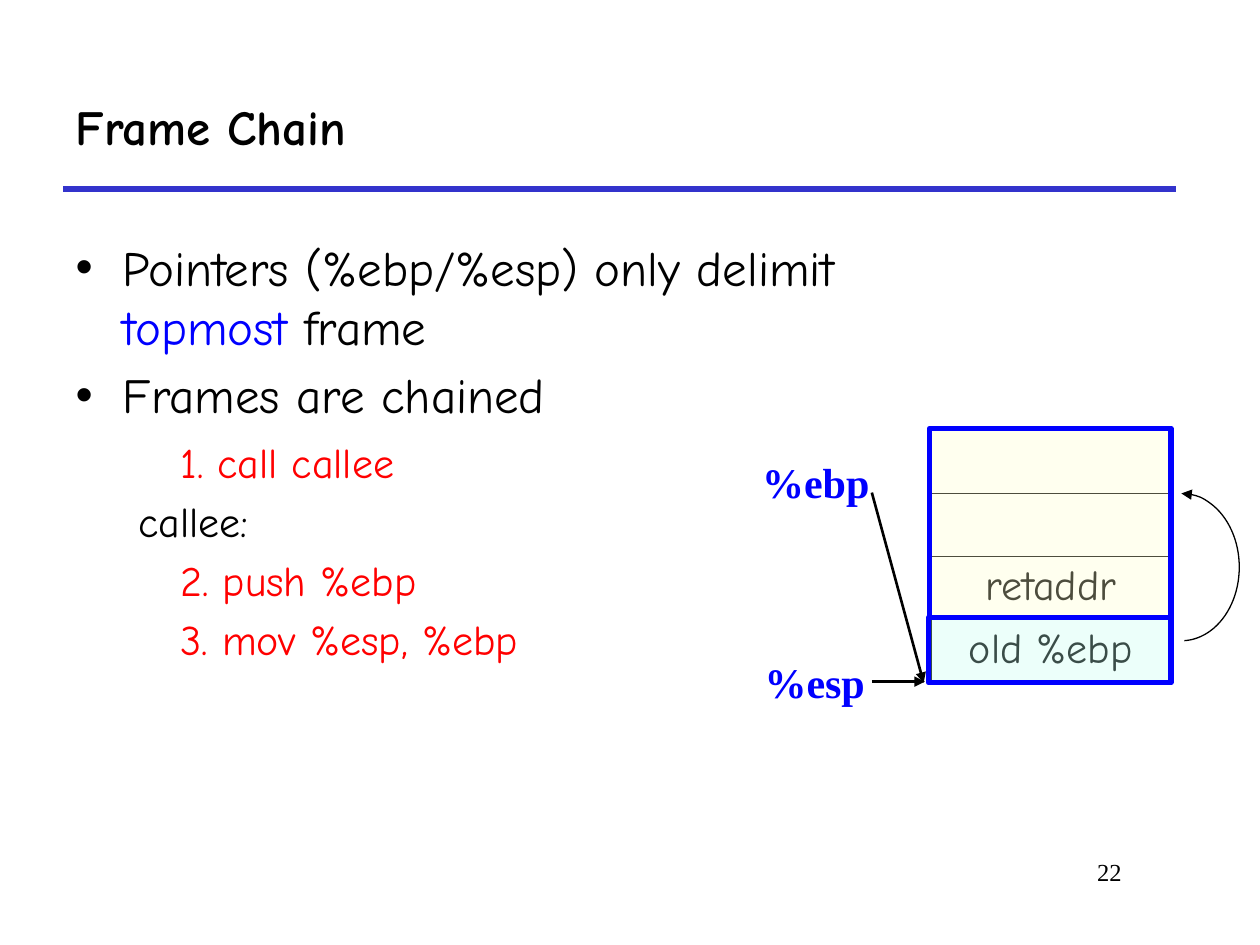
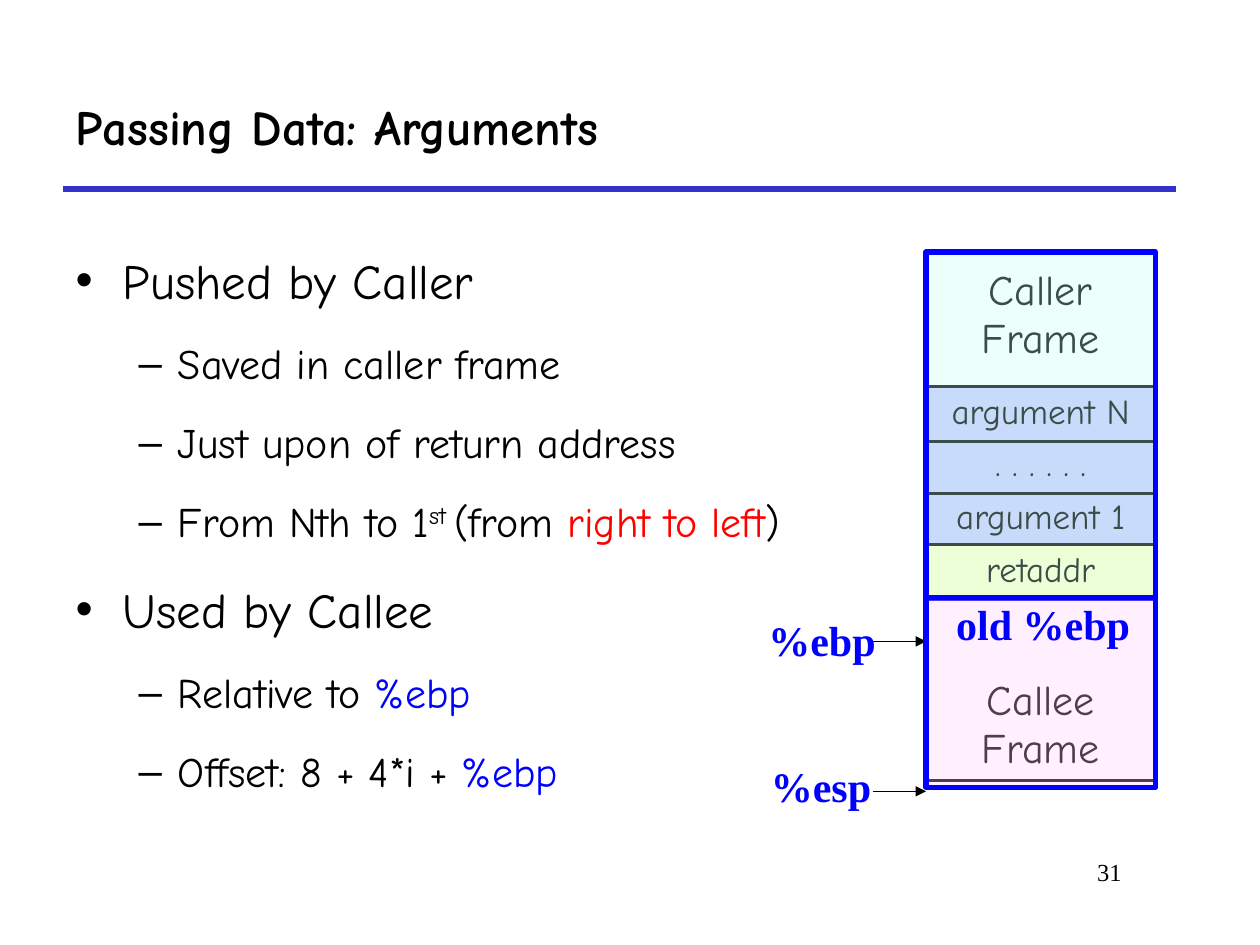
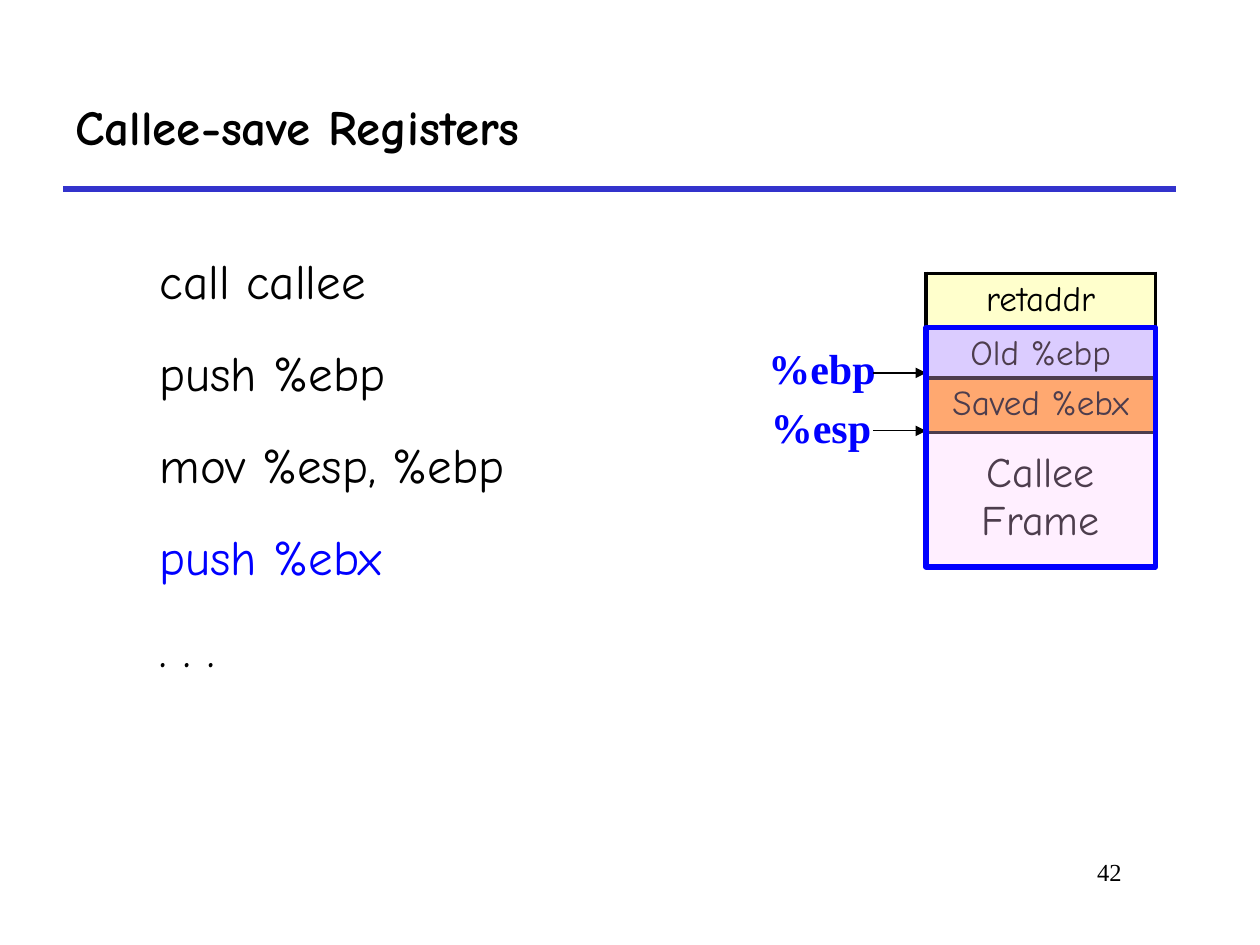
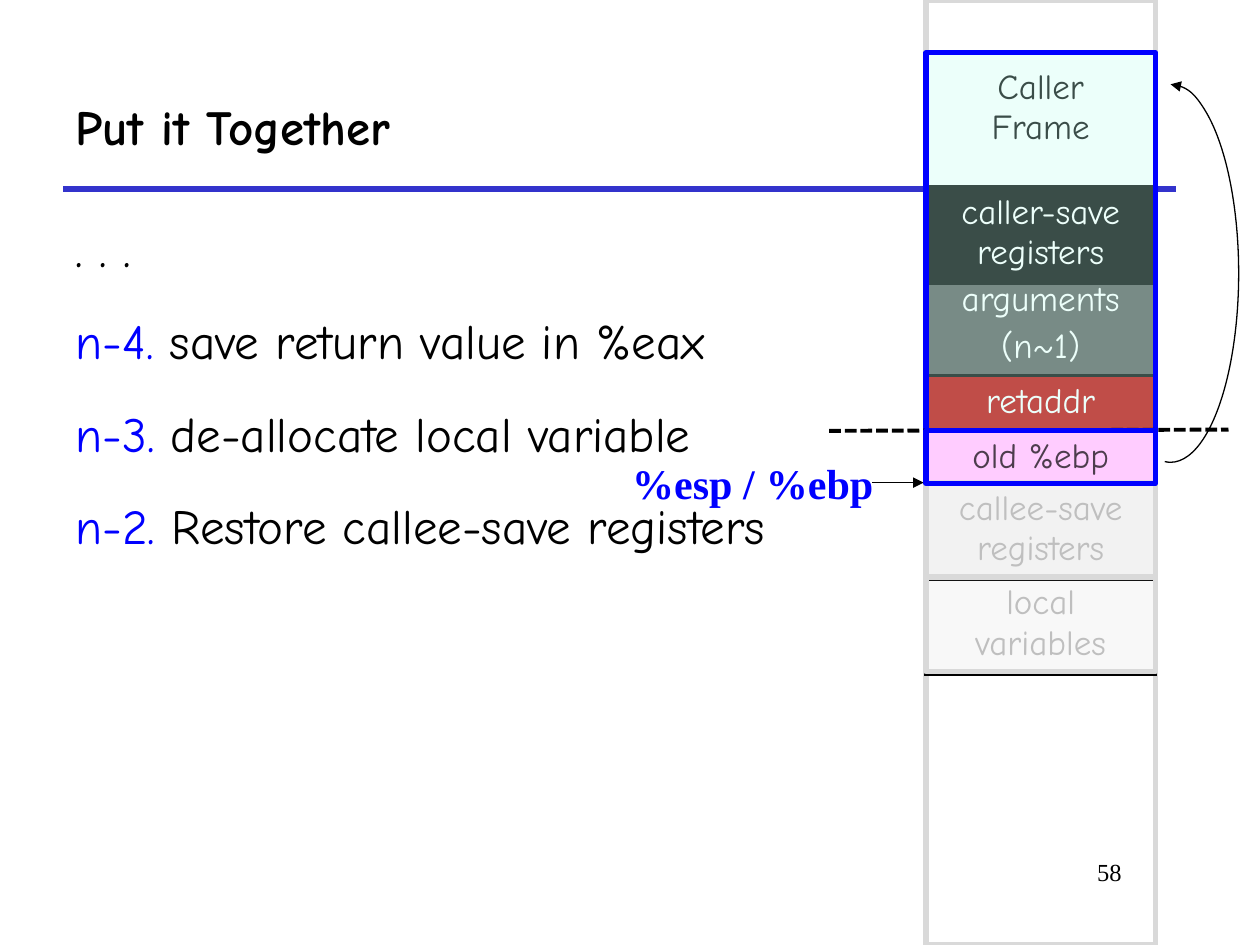
"""Build four slides on procedure call frames and the registers that delimit them."""
from lxml import etree
from pptx import Presentation
from pptx import util as u
from pptx.dml.color import RGBColor
from pptx.enum import dml, shapes, text
from pptx.oxml.ns import qn

BLACK = RGBColor(0x00, 0x00, 0x00)
WHITE = RGBColor(0xFF, 0xFF, 0xFF)
BLUE = RGBColor(0x00, 0x00, 0xFF)
RED = RGBColor(0xFF, 0x00, 0x00)
RULE = RGBColor(0x33, 0x33, 0xCC)
MINT = RGBColor(0xC2, 0xFF, 0xF0)
CREAM = RGBColor(0xFF, 0xFF, 0xCC)
PINK = RGBColor(0xFF, 0xCC, 0xFF)
LILAC = RGBColor(0xCC, 0xCC, 0xFF)
ORANGE = RGBColor(0xFF, 0x99, 0x33)
BRICK = RGBColor(0xC0, 0x00, 0x00)
DARK_GREY = RGBColor(0x59, 0x59, 0x59)
MID_GREY = RGBColor(0xBF, 0xBF, 0xBF)
LINE_GREY = RGBColor(0xD9, 0xD9, 0xD9)
PALE_GREY = RGBColor(0xF2, 0xF2, 0xF2)

HAND = "Comic Neue"
SERIF = "Times New Roman"
STACK_LEFT, STACK_WIDTH, ROW = 529.2, 131, 31
ARROW_LEFT = 499

STYLES = {
    "bullet": {"size": 28, "left": 27, "hang": 27, "bullet": "•"},
    "wide bullet": {"size": 28, "left": 27, "hang": 27, "bullet": "•", "spacing": 1.4},
    "dash": {"size": 24, "left": 58.5, "hang": 22.5, "bullet": "–", "spacing": 1.4, "level": 1},
    "plain": {"size": 28, "spacing": 1.4},
    "code": {"size": 24, "left": 36, "level": 1},
    "step": {"size": 24, "left": 60, "level": 1},
    "cell": {"size": 20, "align": text.PP_ALIGN.CENTER},
    "large cell": {"size": 24, "align": text.PP_ALIGN.CENTER},
    "title": {"size": 28, "bold": True},
    "label": {"size": 24, "bold": True, "font": SERIF},
    "number": {"size": 14, "font": SERIF, "align": text.PP_ALIGN.RIGHT},
}

SLIDES = [
    {
        "number": "22",
        "title": "Frame Chain",
        "body_box": (36, 132, 477.4, 161.3),
        "body": [
            ("bullet", ["Pointers (%ebp/%esp) only delimit ", ("topmost ", BLUE), "frame"]),
            ("bullet", ["Frames are chained"]),
        ],
        "parts": [
            ("cells", {"rows": ["", "", "retaddr", "old %ebp"], "left": 531.4, "top": 246,
                       "width": 138, "height": 36, "fill": WHITE, "style": "large cell",
                       "rule": 1}),
            ("frame", {"left": 530.6, "top": 352.8, "width": 138.6, "height": 37.4, "fill": MINT}),
            ("frame", {"left": 531.2, "top": 244.8, "width": 138, "height": 108,
                       "fill": CREAM}),
            ("label", {"words": "%ebp", "left": 428.4, "top": 257.3}),
            ("line", {"start": (498.2, 281.5), "end": (527.8, 390.2), "weight": 1.5}),
            ("label", {"words": "%esp", "left": 429.8, "top": 371.5}),
            ("line", {"start": (498.2, 389.5), "end": (528.5, 389.5), "weight": 1.5}),
            ("text", {"box": (36, 246.2, 360, 175.7), "paragraphs": [
                ("step", [("1. call callee", RED)]),
                ("code", ["callee:"]),
                ("step", [("2. push %ebp", RED)]),
                ("step", [("3. mov %esp, %ebp", RED)]),
            ]}),
            ("arc", {"box": (642, 282, 66.2, 84.2), "finish": 52.61}),
        ],
    },
    {
        "number": "31",
        "title": "Passing Data: Arguments",
        "body_box": (36, 126, 660, 348),
        "body": [
            ("wide bullet", ["Pushed by Caller"]),
            ("dash", ["Saved in caller frame"]),
            ("dash", ["Just upon of return address"]),
            ("dash", ["From Nth to 1", ("st ", BLACK, 30000), "(from ",
                      ("right to left", RED), ")"]),
            ("wide bullet", ["Used by Callee"]),
            ("dash", ["Relative to ", ("%ebp", BLUE)]),
            ("dash", ["Offset: 8 + 4*i + ", ("%ebp", BLUE)]),
        ],
        "parts": [
            ("cells", {"rows": ["argument 1"], "top": 280.8, "fill": LILAC}),
            ("cells", {"rows": [". . . . . ."], "top": 250.6, "fill": LILAC}),
            ("cells", {"rows": ["argument N"], "top": 221, "fill": LILAC}),
            ("cells", {"rows": ["Callee\vFrame"], "top": 342, "height": 104,
                       "style": "large cell", "below": 3.6}),
            ("label", {"words": "%ebp", "left": 432, "top": 347.8}),
            ("label", {"words": "%esp", "left": 433.4, "top": 431.3}),
            ("line", {"start": (ARROW_LEFT, 366.5), "end": (STACK_LEFT, 366.5)}),
            ("line", {"start": (ARROW_LEFT, 452.2), "end": (STACK_LEFT, 452.2)}),
            ("cells", {"rows": ["retaddr"], "top": 311, "fill": CREAM}),
            ("cells", {"rows": ["Caller\vFrame"], "top": 144, "height": 198,
                       "style": "large cell", "above": 9}),
            ("frame", {"top": 144, "height": 198, "fill": MINT}),
            ("frame", {"top": 341.3, "height": 108.7, "fill": PINK}),
            ("label", {"words": "old %ebp", "left": 539.3, "top": 338.4, "width": 115}),
        ],
    },
    {
        "number": "42",
        "title": "Callee-save Registers",
        "body_box": (84, 126, 612, 378),
        "body": [
            ("plain", ["call callee"]),
            ("plain", ["push %ebp"]),
            ("plain", ["mov %esp, %ebp"]),
            ("plain", [("push %ebx", BLUE)]),
            ("plain", [". . ."]),
        ],
        "parts": [
            ("cells", {"rows": ["Old %ebp"], "top": 187.2, "fill": LILAC}),
            ("cells", {"rows": ["Saved %ebx"], "top": 216, "fill": ORANGE}),
            ("cells", {"rows": ["Callee\vFrame"], "top": 187.2, "height": 136.8,
                       "style": "large cell", "below": 12}),
            ("label", {"words": "%ebp", "left": 432, "top": 192.2}),
            ("label", {"words": "%esp", "left": 433.4, "top": 226}),
            ("line", {"start": (ARROW_LEFT, 213.1), "end": (STACK_LEFT, 213.1)}),
            ("line", {"start": (ARROW_LEFT, 246.2), "end": (STACK_LEFT, 246.2)}),
            ("cells", {"rows": ["retaddr"], "top": 156.2, "fill": CREAM}),
            ("frame", {"top": 187.2, "height": 136.8, "fill": PINK}),
        ],
    },
    {
        "number": "58",
        "title": "Put it Together",
        "body_box": (36, 108, 684, 402),
        "body": [
            ("plain", [". . ."]),
            ("plain", [("n-4. ", BLUE), "save return value in %eax"]),
            ("plain", [("n-3. ", BLUE), "de-allocate local variable"]),
            ("plain", [("n-2. ", BLUE), "Restore callee-save registers"]),
        ],
        "parts": [
            ("frame", {"top": 0, "height": 540, "line": LINE_GREY}),
            ("cells", {"rows": ["arguments\n(n~1)"], "top": 156.2, "height": 60,
                       "fill": DARK_GREY, "color": WHITE}),
            ("cells", {"rows": ["caller-save registers"], "top": 106.6, "height": 55.4,
                       "fill": BLACK, "color": WHITE}),
            ("cells", {"rows": ["old %ebp"], "top": 246.2, "fill": PINK}),
            ("cells", {"rows": ["retaddr"], "top": 214.6, "fill": BRICK, "color": WHITE}),
            ("cells", {"rows": ["Caller\vFrame"], "top": 30.2, "height": 216, "above": 8.5}),
            ("frame", {"top": 30.2, "height": 216, "fill": MINT}),
            ("cells", {"rows": ["callee-save registers"], "top": 275.8, "height": 55.4,
                       "fill": PALE_GREY, "color": MID_GREY}),
            ("cells", {"rows": ["local variables"], "top": 329.8, "height": 55.4,
                       "fill": MID_GREY, "color": MID_GREY, "opacity": 10}),
            ("line", {"start": (473.8, 246.2), "end": (702, 245.5), "weight": 2.25,
                      "dashed": True}),
            ("label", {"words": "%ebp", "left": 430.6, "top": 257.8}),
            ("label", {"words": "%esp /", "left": 354.2, "top": 257.8, "width": 85}),
            ("line", {"start": (498.2, 275.8), "end": (527.8, 275.8)}),
            ("frame", {"top": 329.8, "height": 54, "line": LINE_GREY}),
            ("frame", {"top": 275.8, "height": 54, "line": LINE_GREY}),
            ("frame", {"top": 246.2, "height": 30.2, "fill": PINK}),
            ("arc", {"box": (630, 48.2, 77.8, 216), "finish": 55.06}),
        ],
    },
]


def points(*values):
    return [u.Pt(value) for value in values]


def set_values(target, values):
    for name, value in values.items():
        setattr(target, name, value)


def add_element(parent, tag, **attributes):
    return etree.SubElement(parent, qn(tag), attributes)


def add_run(paragraph, words, style, color, baseline=None):
    """Add one run, with line breaks where its words hold a vertical tab."""
    for index, line in enumerate(words.split("\v")):
        if index:
            paragraph.add_line_break()
        run = paragraph.add_run()
        run.text = line
        set_values(run.font, {"size": u.Pt(style["size"]), "bold": style.get("bold", False),
                              "name": style.get("font", HAND)})
        run.font.color.rgb = color
        if baseline:
            run._r.get_or_add_rPr().set("baseline", str(baseline))


def write(frame, paragraphs):
    """Fill a text frame with (style name, runs) paragraphs."""
    for index, (style_name, runs) in enumerate(paragraphs):
        style = STYLES[style_name]
        paragraph = frame.paragraphs[0] if index == 0 else frame.add_paragraph()
        properties = paragraph._p.get_or_add_pPr()
        properties.set("marL", str(u.Pt(style.get("left", 0))))
        properties.set("indent", str(-u.Pt(style.get("hang", 0))))
        if "bullet" in style:
            add_element(properties, "a:buChar", char=style["bullet"])
        else:
            add_element(properties, "a:buNone")
        set_values(paragraph, {
            "level": style.get("level", 0),
            "alignment": style.get("align", text.PP_ALIGN.LEFT),
            "line_spacing": style.get("spacing", 1.0),
            "space_before": u.Pt(style["size"] * 0.2 if index else 0),
            "space_after": u.Pt(0),
        })
        for item in runs:
            words, color, *baseline = (item, BLACK) if isinstance(item, str) else item
            add_run(paragraph, words, style, color, *baseline)


def paint(fill, properties, color, opacity=100):
    """Fill with a colour, or with nothing when the colour is None."""
    if color is None:
        fill.background()
        return
    fill.solid()
    fill.fore_color.rgb = color
    if opacity < 100:
        node = properties.find(f"{qn('a:solidFill')}/{qn('a:srgbClr')}")
        add_element(node, "a:alpha", val=str(opacity * 1000))


def add_cells(slide, rows, top, height=ROW, left=STACK_LEFT, width=STACK_WIDTH, fill=None,
              color=BLACK, opacity=100, style="cell", rule=2.25, above=3.6, below=None):
    """Add a one-column table of stack slots."""
    table = slide.shapes.add_table(
        len(rows), 1, *points(left, top, width, height * len(rows))).table
    set_values(table, {"first_row": False, "horz_banding": False})
    for index, words in enumerate(rows):
        cell = table.cell(index, 0)
        properties = cell._tc.get_or_add_tcPr()
        for side, weight in (("L", 2.25), ("R", 2.25), ("T", rule), ("B", rule)):
            border = add_element(properties, f"a:ln{side}", w=str(u.Pt(weight)))
            add_element(add_element(border, "a:solidFill"), "a:srgbClr", val=str(BLACK))
        paint(cell.fill, properties, fill, opacity)
        set_values(cell, {
            "margin_top": u.Pt(above),
            "margin_bottom": u.Pt(below or 3.6),
            "vertical_anchor": text.MSO_ANCHOR.BOTTOM if below else text.MSO_ANCHOR.TOP,
        })
        write(cell.text_frame, [(style, [(part, color)]) for part in words.split("\n")])


def add_frame(slide, top, height, left=STACK_LEFT, width=STACK_WIDTH, fill=None, line=BLUE):
    """Add a translucent rectangle that outlines a stack frame."""
    shape = slide.shapes.add_shape(shapes.MSO_SHAPE.RECTANGLE, *points(left, top, width, height))
    shape.shadow.inherit = False
    paint(shape.fill, shape._element.spPr, fill, 30)
    shape.line.color.rgb = line
    shape.line.width = u.Pt(3)


def add_text(slide, box, paragraphs, wrap=True):
    frame = slide.shapes.add_textbox(*points(*box)).text_frame
    frame.word_wrap = wrap
    write(frame, paragraphs)


def add_label(slide, words, left, top, width=76):
    add_text(slide, (left, top, width, 36.7), [("label", [(words, BLUE)])], wrap=False)


def add_line(slide, start, end, weight=0.75, color=BLACK, dashed=False, arrow=True):
    connector = slide.shapes.add_connector(
        shapes.MSO_CONNECTOR.STRAIGHT, *points(*start, *end))
    connector.line.color.rgb = color
    connector.line.width = u.Pt(weight)
    properties = connector._element.spPr
    if dashed:
        connector.line.dash_style = dml.MSO_LINE.SQUARE_DOT
    elif arrow:
        add_element(properties.get_or_add_ln(), "a:tailEnd", type="triangle")
    add_element(properties, "a:effectLst")


def add_arc(slide, box, finish):
    """Add the curved arrow from a saved pointer back to the older frame."""
    shape = slide.shapes.add_shape(shapes.MSO_SHAPE.ARC, *points(*box))
    shape.shadow.inherit = False
    shape.adjustments[0], shape.adjustments[1] = 162, finish
    shape.fill.background()
    shape.line.color.rgb = BLACK
    shape.line.width = u.Pt(0.75)
    add_element(shape._element.spPr.get_or_add_ln(), "a:headEnd", type="triangle")


def fill_placeholder(placeholder, box, paragraphs, anchor):
    set_values(placeholder, dict(zip(("left", "top", "width", "height"), points(*box))))
    set_values(placeholder.text_frame, {"auto_size": text.MSO_AUTO_SIZE.NONE, "word_wrap": True,
                                        "vertical_anchor": anchor})
    write(placeholder.text_frame, paragraphs)


PARTS = {"cells": add_cells, "frame": add_frame, "label": add_label, "line": add_line,
         "text": add_text, "arc": add_arc}


def add_slide(presentation, content):
    slide = presentation.slides.add_slide(presentation.slide_layouts[1])
    fill_placeholder(slide.shapes.title, (36, 36, 636, 72),
                     [("title", [content["title"]])], text.MSO_ANCHOR.MIDDLE)
    fill_placeholder(slide.placeholders[1], content["body_box"], content["body"],
                     text.MSO_ANCHOR.TOP)
    add_line(slide, (36, 108), (672, 108), 3, RULE, arrow=False)
    add_text(slide, (545.8, 486, 102.2, 36), [("number", [content["number"]])])
    for kind, values in content["parts"]:
        PARTS[kind](slide, **values)


def main():
    presentation = Presentation()
    set_values(presentation, {"slide_width": u.Pt(720), "slide_height": u.Pt(540)})
    for content in SLIDES:
        add_slide(presentation, content)
    presentation.save("out.pptx")


if __name__ == "__main__":
    main()
